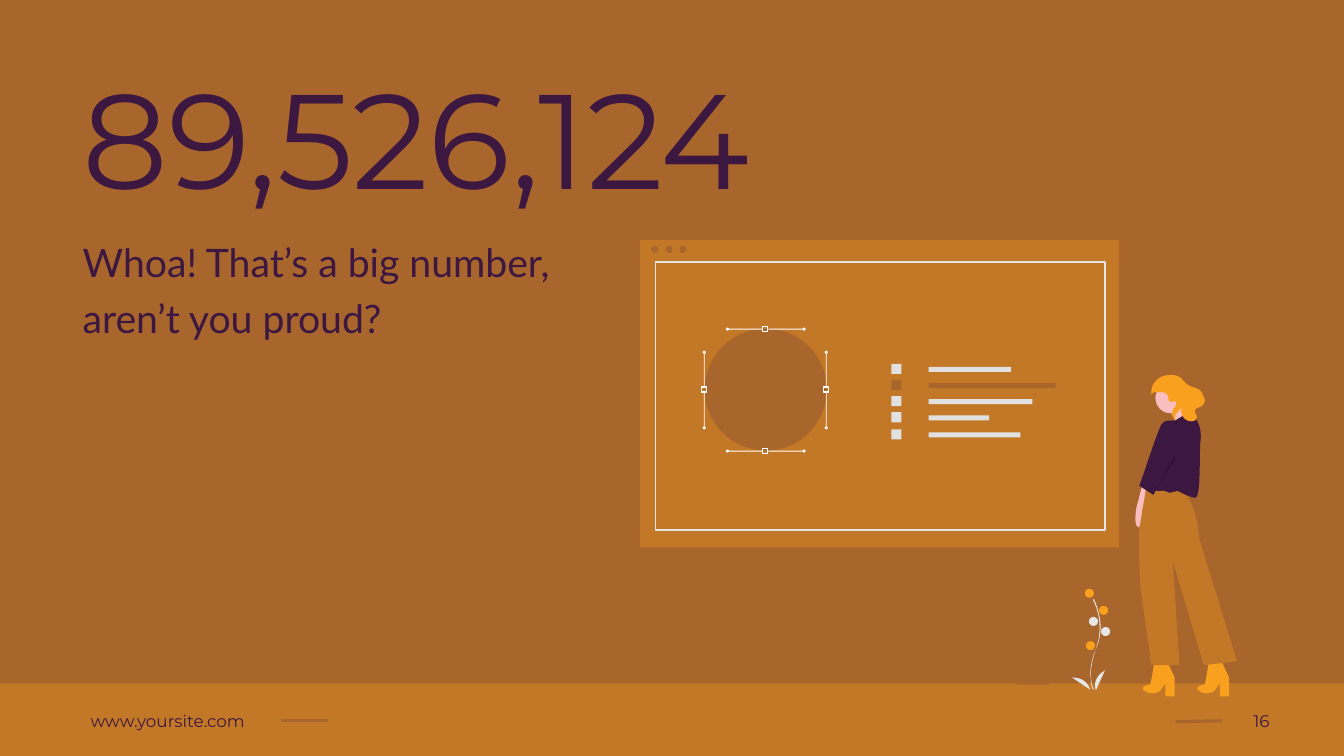
from dataclasses import dataclass

from lxml import etree
from pptx import Presentation
from pptx.dml.color import RGBColor
from pptx.enum.shapes import MSO_CONNECTOR, MSO_SHAPE
from pptx.enum.text import MSO_ANCHOR, PP_ALIGN
from pptx.oxml.ns import qn
from pptx.util import Emu, Pt

RECT, OVAL = MSO_SHAPE.RECTANGLE, MSO_SHAPE.OVAL
STRAIGHT = MSO_CONNECTOR.STRAIGHT
TOP, MIDDLE, BOTTOM = MSO_ANCHOR.TOP, MSO_ANCHOR.MIDDLE, MSO_ANCHOR.BOTTOM
LEFT, RIGHT = PP_ALIGN.LEFT, PP_ALIGN.RIGHT
EMU_PER_PX = 9144
CURVE_STEPS = 8


@dataclass(frozen=True)
class Theme:
    """Colours, fonts and type sizes of the slide."""
    clay: str = "A8652C"
    ochre: str = "C37827"
    plum: str = "3C1740"
    amber: str = "F9A01E"
    skin: str = "FBBEBE"
    pale: str = "E6E6E6"
    mist: str = "E1E1E1"
    white: str = "FFFFFF"
    shade: str = "000000"
    display: str = "Montserrat"
    body: str = "Lato"
    number_pt: int = 96
    message_pt: int = 28
    footer_pt: int = 12


T = Theme()

STEM = [(1084, 684), (1084, 684, 1082, 681, 1082, 674), (1081, 668, 1081, 658, 1087, 644),
        (1097, 617, 1084, 595, 1084, 595), (1085, 594), (1087, 599, 1089, 604, 1090, 609),
        (1093, 620, 1092, 633, 1087, 644), (1077, 671, 1085, 684, 1085, 684)]
LEAVES = [[(1087, 685), (1087, 685, 1082, 673, 1096, 665)],
          [(1081, 684), (1081, 684, 1079, 672, 1063, 672)]]
HAND = [(1133, 481), (1127, 504), (1127, 504, 1124, 522, 1129, 523),
        (1134, 523, 1133, 505, 1133, 505), (1143, 489)]
SHOE = [(1145, 655), (1143, 669), (1141, 679), (1141, 679, 1128, 681, 1136, 686),
        (1143, 690, 1150, 686, 1150, 686), (1156, 678), (1156, 691), (1165, 691),
        (1165, 672), (1158, 657)]
TROUSERS = [(1178, 493), (1178, 486), (1137, 483), (1130, 525),
            (1130, 525, 1129, 567, 1132, 589), (1135, 610, 1142, 660, 1142, 660),
            (1170, 660), (1163, 556), (1194, 660), (1227, 656), (1189, 533),
            (1189, 533, 1189, 511, 1178, 493)]
NECK = [(1171, 402), (1183, 416), (1168, 422), (1161, 408)]
BLOUSE = [(1163, 417), (1166, 417), (1166, 417, 1177, 410, 1180, 410),
          (1183, 411, 1192, 420, 1191, 434), (1189, 447, 1192, 496, 1185, 494),
          (1178, 492, 1176, 491, 1176, 491), (1168, 487), (1160, 489),
          (1160, 489, 1155, 486, 1151, 487), (1147, 488, 1135, 483, 1135, 483)]
SLEEVE = [(1167, 419), (1167, 419, 1157, 414, 1152, 421), (1148, 428, 1136, 465, 1136, 465),
          (1130, 482), (1144, 491), (1172, 440), (1172, 440, 1176, 425, 1167, 419)]
HAIR = [(1159, 397), (1159, 396, 1159, 394, 1158, 392), (1157, 390, 1154, 389, 1151, 389),
        (1150, 389, 1148, 389, 1146, 389), (1144, 389, 1143, 390, 1142, 392),
        (1142, 393, 1142, 390, 1142, 387), (1143, 380, 1148, 375, 1154, 373),
        (1158, 372, 1161, 372, 1164, 372), (1168, 373, 1171, 374, 1173, 377),
        (1174, 378, 1175, 379, 1176, 380), (1178, 382, 1180, 383, 1183, 384),
        (1186, 385, 1189, 386, 1191, 388), (1193, 391, 1194, 393, 1195, 397),
        (1195, 400, 1192, 404, 1189, 404), (1188, 405, 1187, 405, 1187, 405),
        (1183, 408, 1187, 411, 1187, 414), (1187, 416, 1185, 418, 1182, 418),
        (1177, 418, 1173, 415, 1172, 410), (1171, 408, 1172, 406, 1172, 404),
        (1172, 401, 1167, 396, 1171, 400), (1171, 401, 1172, 402, 1172, 403),
        (1172, 406, 1169, 407, 1168, 409), (1165, 411, 1165, 414, 1166, 417),
        (1162, 414, 1162, 409, 1164, 405), (1165, 405, 1165, 404, 1166, 403),
        (1167, 401, 1167, 398, 1165, 398), (1163, 398, 1161, 400, 1159, 397)]
CREASE = [(1166, 455), (1146, 487), (1165, 452)]


def px(n):
    """Turn px into EMU."""
    return Emu(round(n * EMU_PER_PX))


def rgb(color):
    """Turn a hex string into a colour."""
    return RGBColor.from_string(color)


def paint(s, color):
    """Give a shape a flat fill with no line or shadow."""
    s.shadow.inherit = False
    s.fill.solid()
    s.fill.fore_color.rgb = rgb(color)
    s.line.fill.background()
    return s


def block(shapes, kind, x, y, w, h, color):
    """Add a filled preset shape."""
    return paint(shapes.add_shape(kind, px(x), px(y), px(w), px(h)), color)


def box_outline(shapes, x, y, w, h, color):
    """Add an unfilled rectangle with a thin line."""
    s = block(shapes, RECT, x, y, w, h, color)
    s.fill.background()
    s.line.color.rgb = rgb(color)
    s.line.width = Pt(1)


def flatten(steps):
    """Turn points and cubic curves into a list of points."""
    points = [steps[0]]
    for step in steps[1:]:
        if len(step) == 2:
            points.append(step)
            continue
        start, curve = points[-1], (step[:2], step[2:4], step[4:])
        for i in range(1, CURVE_STEPS + 1):
            t = i / CURVE_STEPS
            u = 1 - t
            weights = (u ** 3, 3 * u * u * t, 3 * u * t * t, t ** 3)
            points.append(tuple(sum(k * p[axis] for k, p in zip(weights, (start, *curve)))
                                for axis in (0, 1)))
    return points


def outline(shapes, steps, color, dx=0):
    """Add a filled closed outline, moved right by dx."""
    points = [(px(x + dx), px(y)) for x, y in flatten(steps)]
    builder = shapes.build_freeform(*points[0], scale=1.0)
    builder.add_line_segments(points[1:], close=True)
    return paint(builder.convert_to_shape(), color)


def dash(shapes, x1, y1, x2, y2):
    """Add a footer line."""
    s = shapes.add_connector(STRAIGHT, px(x1), px(y1), px(x2), px(y2))
    s.line.color.rgb = rgb(T.clay)
    s.line.width = Pt(2.25)
    etree.SubElement(s._element.spPr, qn("a:effectLst"))


def text(shapes, box, lines, font, size, anchor=MIDDLE, align=LEFT, spacing=1.0, inset=(10, 5)):
    """Add a text box holding one paragraph of broken lines."""
    tf = shapes.add_textbox(*map(px, box)).text_frame
    tf.word_wrap = True
    tf.vertical_anchor = anchor
    tf.margin_left = tf.margin_right = px(inset[0])
    tf.margin_top = tf.margin_bottom = px(inset[1])
    p = tf.paragraphs[0]
    p.alignment = align
    p.line_spacing = spacing
    for i, line in enumerate(lines):
        if i:
            p.add_line_break()
        r = p.add_run()
        r.text = line
        r.font.name = font
        r.font.size = Pt(size)
        r.font.color.rgb = rgb(T.plum)


def footer(shapes):
    """Add the ground band with site, page number and dashes."""
    block(shapes, RECT, 0, 678, 1333, 72, T.ochre)
    text(shapes, (1212, 695, 57, 40), ["16"], T.display, T.footer_pt, align=RIGHT)
    dash(shapes, 1212, 715, 1166, 716)
    text(shapes, (80, 695, 199, 40), ["www.yoursite.com"], T.display, T.footer_pt)
    dash(shapes, 279, 715, 325, 715)


def plant(shapes):
    """Add the plant with its berries and leaves."""
    outline(shapes, STEM, T.pale)
    for x, y, color in ((1076, 584, T.amber), (1090, 601, T.amber), (1080, 612, T.pale),
                        (1092, 622, T.pale), (1077, 636, T.amber)):
        block(shapes, OVAL, x, y, 9, 9, color)
    for leaf in LEAVES:
        outline(shapes, leaf, T.pale)


def selected_circle(shapes):
    """Add the circle with its guides and handles."""
    block(shapes, OVAL, 699, 326, 121, 121, T.clay)
    for y in (326, 447):
        for bar_x, dot_x in ((721, 720), (762, 796)):
            block(shapes, RECT, bar_x, y, 35, 1, T.white)
            block(shapes, OVAL, dot_x, y - 1, 3, 3, T.white)
    for x in (698, 819):
        for bar_y, dot_y in ((349, 348), (390, 423)):
            block(shapes, RECT, x, bar_y, 1, 35, T.white)
            block(shapes, OVAL, x - 1, dot_y, 3, 3, T.white)
    for x, y in ((756, 324), (817, 384), (696, 384), (756, 445)):
        box_outline(shapes, x, y, 5, 5, T.white)


def window(shapes):
    """Add the browser window and what it shows."""
    block(shapes, RECT, 635, 238, 475, 305, T.ochre)
    for i in range(3):
        block(shapes, OVAL, 646 + 14 * i, 244, 7, 7, T.clay)
    rows = ((82, T.mist), (126, T.clay), (103, T.mist), (60, T.mist), (91, T.mist))
    for i, (width, color) in enumerate(rows):
        y = 361 + 65 * i // 4
        block(shapes, RECT, 884, y, 10, 10, color)
        block(shapes, RECT, 921, y + 3, width, 5, color)
    selected_circle(shapes)
    box_outline(shapes, 650, 260, 446, 266, T.pale)


def woman(shapes):
    """Add the standing woman."""
    outline(shapes, HAND, T.skin)
    for dx in (0, 54):
        outline(shapes, SHOE, T.amber, dx)
    outline(shapes, TROUSERS, T.ochre)
    block(shapes, OVAL, 1146, 380, 30, 30, T.skin)
    for steps, color in ((NECK, T.skin), (BLOUSE, T.plum), (SLEEVE, T.plum), (HAIR, T.amber)):
        outline(shapes, steps, color)
    s = outline(shapes, CREASE, T.shade)
    fill = s._element.spPr.find(qn("a:solidFill"))
    etree.SubElement(fill[0], qn("a:alpha"), val="20000")


def main():
    """Build and save the slide."""
    prs = Presentation()
    prs.slide_width, prs.slide_height = px(1333), px(750)
    slide = prs.slides.add_slide(prs.slide_layouts[6])
    slide.background.fill.solid()
    slide.background.fill.fore_color.rgb = rgb(T.clay)
    shapes = slide.shapes
    footer(shapes)
    text(shapes, (82, 90, 850, 127), ["89,526,124"], T.display, T.number_pt,
         anchor=BOTTOM, spacing=0.9, inset=(0, 0))
    text(shapes, (82, 227, 762, 110), ["Whoa! That’s a big number,", "aren’t you proud?"],
         T.body, T.message_pt, anchor=TOP, spacing=1.2, inset=(0, 0))
    for draw in (plant, window, woman):
        draw(shapes.add_group_shape().shapes)
    block(shapes, RECT, 1008, 646, 33, 33, T.clay)
    prs.save("out.pptx")


if __name__ == "__main__":
    main()
